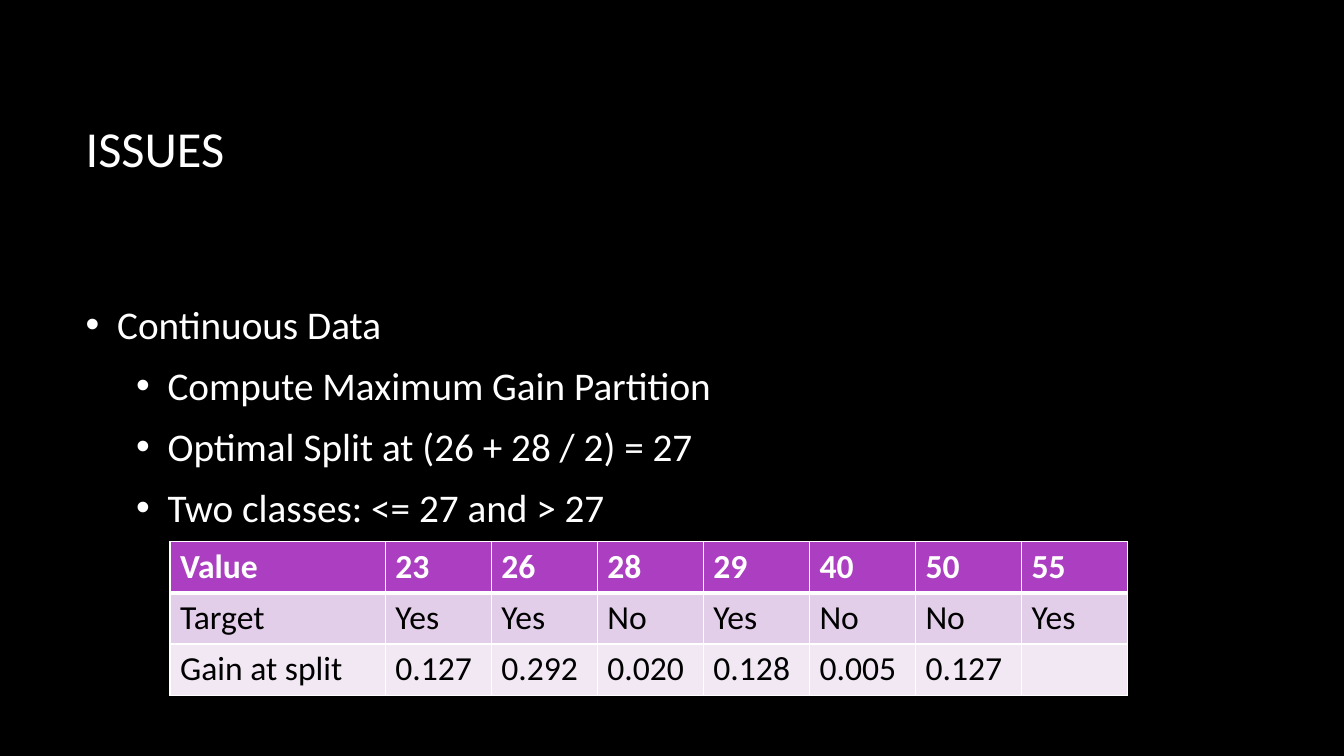
import pptx
import pptx.dml.color
import pptx.enum.text
import pptx.oxml.ns
import pptx.util
import lxml.etree

PX = 9525  # EMU per px, 96 px to the inch
FONT = "Calibri"
COLORS = {
    "background": "000000",
    "light": "FFFFFF",
    "dark": "000000",
    "header": "AC3EC1",
    "band": "E3CEE9",
    "pale": "F1E8F4",
}
BULLETS = [
    (0, "Continuous Data"),
    (1, "Compute Maximum Gain Partition"),
    (1, "Optimal Split at (26 + 28 / 2) = 27"),
    (1, "Two classes: <= 27 and > 27"),
]
SPLITS = [
    ["Value", "23", "26", "28", "29", "40", "50", "55"],
    ["Target", "Yes", "Yes", "No", "Yes", "No", "No", "Yes"],
    ["Gain at split", "0.127", "0.292", "0.020", "0.128", "0.005", "0.127", ""],
]


def px(n):
    return pptx.util.Emu(n * PX)


def rgb(name):
    return pptx.dml.color.RGBColor.from_string(COLORS[name])


def add_run(p, text, size, color="light", bold=False):
    r = p.add_run()
    r.text = text
    r.font.name = FONT
    r.font.size = pptx.util.Pt(size)
    r.font.bold = bold
    r.font.color.rgb = rgb(color)


def place(sp, box, anchor):
    """Move a placeholder to box and return its text frame."""
    sp.left, sp.top, sp.width, sp.height = map(px, box)
    tf = sp.text_frame
    tf.word_wrap = True
    tf.auto_size = pptx.enum.text.MSO_AUTO_SIZE.NONE
    tf.vertical_anchor = anchor
    return tf


def add_child(parent, tag, **attrs):
    return lxml.etree.SubElement(parent, pptx.oxml.ns.qn(tag), attrs)


def set_bullet(p, level):
    p.level = level
    pPr = p._p.get_or_add_pPr()
    pPr.set("marL", str(px(30 + 48 * level)))
    pPr.set("indent", str(px(-30)))
    add_child(add_child(pPr, "a:buClr"), "a:srgbClr", val=COLORS["light"])
    add_child(pPr, "a:buFont", typeface="Arial")
    add_child(pPr, "a:buChar", char="•")


def set_borders(cell, top, bottom):
    """Draw white cell borders; top and bottom are widths in points."""
    tcPr = cell._tc.get_or_add_tcPr()
    for side, width in (("L", 1), ("R", 1), ("T", top), ("B", bottom)):
        ln = add_child(tcPr, f"a:ln{side}", w=str(pptx.util.Pt(width)))
        add_child(add_child(ln, "a:solidFill"), "a:srgbClr", val=COLORS["light"])


def fill_title(s, box):
    tf = place(s.shapes.title, box, pptx.enum.text.MSO_ANCHOR.MIDDLE)
    p = tf.paragraphs[0]
    p.alignment = pptx.enum.text.PP_ALIGN.LEFT
    add_run(p, "ISSUES", 36)


def fill_body(s, box):
    tf = place(s.placeholders[1], box, pptx.enum.text.MSO_ANCHOR.TOP)
    tf.margin_top = px(61)
    for i, (level, text) in enumerate(BULLETS):
        p = tf.add_paragraph() if i else tf.paragraphs[0]
        p.space_before = pptx.util.Pt(0)
        p.space_after = pptx.util.Pt(10)
        set_bullet(p, level)
        add_run(p, text, 28)


def add_split_table(s, box):
    x, y, w, h = box
    n_rows, n_cols = len(SPLITS), len(SPLITS[0])
    table = s.shapes.add_table(n_rows, n_cols, px(x), px(y), px(w), px(h)).table
    value_w = 101
    for j, col in enumerate(table.columns):
        col.width = px(value_w if j else w - value_w * (n_cols - 1))
    for i, fill in enumerate(("header", "band", "pale")):
        table.rows[i].height = px(h // n_rows)
        for j, text in enumerate(SPLITS[i]):
            cell = table.cell(i, j)
            set_borders(cell, top=3 if i == 1 else 1, bottom=1 if i else 3)
            cell.fill.solid()
            cell.fill.fore_color.rgb = rgb(fill)
            if text:
                add_run(cell.text_frame.paragraphs[0], text, 24,
                        "dark" if i else "light", bold=i == 0)


def main():
    prs = pptx.Presentation()
    prs.slide_width, prs.slide_height = px(1280), px(720)
    s = prs.slides.add_slide(prs.slide_layouts[1])
    s.background.fill.solid()
    s.background.fill.fore_color.rgb = rgb("background")
    fill_title(s, (72, 64, 1064, 153))
    fill_body(s, (72, 225, 1064, 454))
    add_split_table(s, (162, 516, 912, 144))
    prs.save("out.pptx")


if __name__ == "__main__":
    main()
